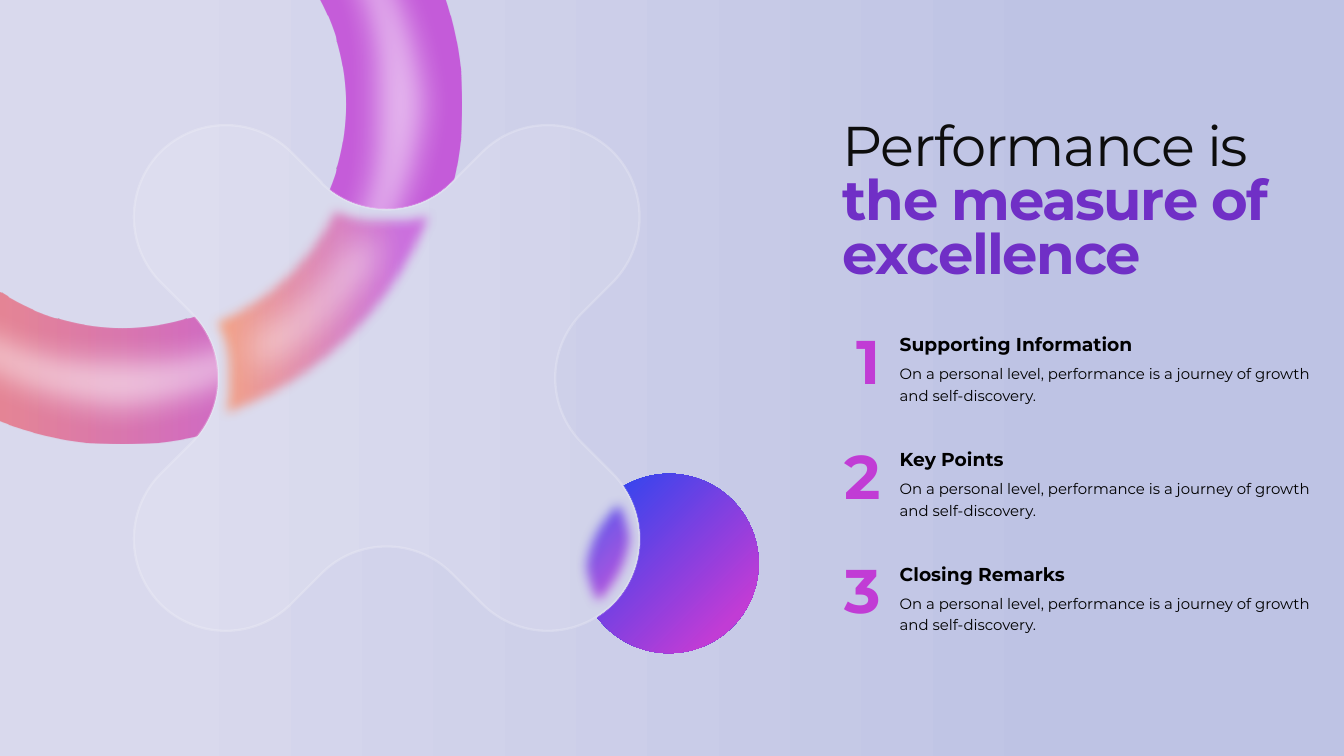
from lxml import etree
from pptx import Presentation
from pptx.dml.color import RGBColor
from pptx.enum.shapes import MSO_SHAPE
from pptx.enum.text import MSO_ANCHOR, MSO_AUTO_SIZE, PP_ALIGN
from pptx.oxml.ns import qn
from pptx.util import Inches, Pt

DONUT, OVAL = MSO_SHAPE.DONUT, MSO_SHAPE.OVAL
LEFT, RIGHT = PP_ALIGN.LEFT, PP_ALIGN.RIGHT
TOP = MSO_ANCHOR.TOP
GROW = MSO_AUTO_SIZE.SHAPE_TO_FIT_TEXT

FONT = "Montserrat"
BLACK = RGBColor(0x00, 0x00, 0x00)
INK = RGBColor(0x0D, 0x0D, 0x0D)
WHITE = RGBColor(0xFF, 0xFF, 0xFF)
MIST = RGBColor(0xD9, 0xD9, 0xED)
HAZE = RGBColor(0xCB, 0xCD, 0xE8)
PERIWINKLE = RGBColor(0xBE, 0xC3, 0xE4)
ORANGE = RGBColor(0xF9, 0x86, 0x57)
MAGENTA = RGBColor(0xC1, 0x3C, 0xD5)
PURPLE = RGBColor(0x70, 0x2F, 0xC6)
BLUE = RGBColor(0x1C, 0x46, 0xF2)

# Gradients: (position, colour) stops
BACKDROP = ((0.11, MIST), (0.8, PERIWINKLE))
GLASS = ((0.03, MIST), (1, HAZE))
SUNSET = ((0.11, ORANGE), (0.8, MAGENTA))
ORB = ((0.17, MAGENTA), (1, BLUE))
EMPHASIS = ((0.11, PURPLE), (0.8, BLUE))
NUMERAL = ((0.11, MAGENTA), (0.8, BLUE))

TITLE = (("Performance is ", INK, False), ("the measure of excellence", EMPHASIS, True))
BODY = "On a personal level, performance is a journey of growth and self-discovery."
# Row top, heading width, heading
POINTS = (
    (4.91, 4.49, "Supporting Information"),
    (6.62, 2.92, "Key Points"),
    (8.32, 3.6, "Closing Remarks"),
)
HEADING_FONT = {"size": Pt(20), "bold": True}
BODY_FONT = {"size": Pt(16), "bold": False}
NUMERAL_FONT = {"size": Pt(66), "bold": True}

# Outlines: a pair is a line end, six numbers are a cubic curve
CLOVER_BOX = (1.99, 1.86, 7.53, 7.53)
CLOVER_CENTRE = (5.755, 5.625)
CLOVER_START = (4.78, 2.72)
CLOVER_QUARTER = (
    (5.32, 3.25, 6.19, 3.25, 6.72, 2.72), (7.18, 2.26),
    (7.72, 1.73, 8.58, 1.73, 9.12, 2.26),
    (9.65, 2.8, 9.65, 3.66, 9.12, 4.2), (8.66, 4.66),
)
LEAF_BOX = (8.55, 7.16, 0.99, 2.13)
LEAF = (
    (9.27, 7.16), (9.29, 7.19), (9.68, 7.77, 9.61, 8.56, 9.1, 9.08),
    (9.03, 9.15, 8.95, 9.21, 8.86, 9.27), (8.84, 9.28), (8.8, 9.24),
    (8.64, 9, 8.55, 8.72, 8.55, 8.42), (8.55, 7.91, 8.81, 7.47, 9.2, 7.2),
)
ARC_BOX = (2.88, 2.71, 3.85, 3.76)
ARC = (
    (6.73, 2.71), (6.71, 2.81), (6.25, 4.59, 4.85, 5.98, 3.08, 6.44),
    (2.96, 6.47), (3.02, 6.38), (3.35, 5.88, 3.32, 5.23, 2.94, 4.76),
    (2.88, 4.69), (3.11, 4.61), (3.9, 4.28, 4.54, 3.64, 4.88, 2.84),
    (4.89, 2.81), (5.43, 3.25, 6.22, 3.22, 6.72, 2.72),
)


def paint(fill, colour):
    """Fill with one colour, or with a left-to-right gradient of two stops."""
    if isinstance(colour, RGBColor):
        fill.solid()
        fill.fore_color.rgb = colour
        return
    fill.gradient()
    fill.gradient_angle = 0
    for stop, (position, rgb) in zip(fill.gradient_stops, colour):
        stop.position, stop.color.rgb = position, rgb


def finish(shape, colour, opacity=100, soft=0, radial=False):
    """Fill a shape without outline or shadow; soft is the blurred rim in points."""
    paint(shape.fill, colour)
    shape.line.fill.background()
    shape.shadow.inherit = False
    props = shape.element.spPr
    if opacity < 100:
        for tint in props.iter(qn("a:srgbClr")):
            etree.SubElement(tint, qn("a:alpha"), val=str(opacity * 1000))
    if radial:
        gradient = props.find(qn("a:gradFill"))
        circle = etree.Element(qn("a:path"), {"path": "circle"})
        etree.SubElement(circle, qn("a:fillToRect"), l="100000", t="100000")
        gradient.replace(gradient.find(qn("a:lin")), circle)
    if soft:
        effects = props.find(qn("a:effectLst"))
        etree.SubElement(effects, qn("a:softEdge"), rad=str(Pt(soft)))
    return shape


def add_preset(shapes, kind, left, top, size, adjust=None, **look):
    shape = shapes.add_shape(kind, Inches(left), Inches(top), Inches(size), Inches(size))
    if adjust:
        shape.adjustments[0] = adjust
    return finish(shape, **look)


def add_outline(shapes, bounds, outline, shift=0, **look):
    """Build a freeform of the given bounds, then give it its lines and curves."""
    left, top, width, height = (Inches(length) for length in bounds)
    right, bottom = left + width, top + height
    builder = shapes.build_freeform(left, top)
    builder.add_line_segments([(right, top), (right, bottom), (left, bottom)], close=True)
    shape = builder.convert_to_shape()
    shape.left = left + Inches(shift)

    track = shape.element.spPr.find(".//" + qn("a:path"))
    for step in list(track):
        track.remove(step)
    for index, segment in enumerate(outline):
        tag = "a:cubicBezTo" if len(segment) == 6 else "a:lnTo" if index else "a:moveTo"
        step = etree.SubElement(track, qn(tag))
        for x, y in zip(segment[::2], segment[1::2]):
            etree.SubElement(step, qn("a:pt"),
                             x=str(Inches(x) - left), y=str(Inches(y) - top))
    etree.SubElement(track, qn("a:close"))
    return finish(shape, **look)


def quarter_turn(segment):
    cx, cy = CLOVER_CENTRE
    turned = []
    for x, y in zip(segment[::2], segment[1::2]):
        turned += [cx + cy - y, cy + x - cx]
    return tuple(turned)


def clover():
    outline, quarter = [CLOVER_START], CLOVER_QUARTER
    for _ in range(4):
        outline += quarter
        quarter = [quarter_turn(segment) for segment in quarter]
    return outline


def add_span(para, text, colour, **format_values):
    span = para.add_run()
    span.text = text
    for name, value in {"name": FONT, **format_values}.items():
        setattr(span.font, name, value)
    paint(span.font.fill, colour)
    return span


def place(box, left, top, width, height, align=LEFT, spacing=1.0):
    """Position a box and return its first paragraph."""
    box.left, box.top = Inches(left), Inches(top)
    box.width, box.height = Inches(width), Inches(height)
    frame = box.text_frame
    frame.word_wrap, frame.auto_size, frame.vertical_anchor = True, GROW, TOP
    para = frame.paragraphs[0]
    para.alignment, para.line_spacing = align, spacing
    return para


def add_title(page):
    para = place(page.shapes.title, 12.44, 1.79, 6.73, 2.55, spacing=0.8)
    for text, colour, bold in TITLE:
        span = add_span(para, text, colour, size=Pt(60), bold=bold)
        span.font._element.set("spc", "-150")


def add_points(page):
    for number, (top, width, heading) in enumerate(POINTS, start=1):
        parts = (
            (heading, BLACK, HEADING_FONT, (13.29, top, width, 0.44)),
            (BODY, BLACK, BODY_FONT, (13.29, top + 0.42, 6.32, 0.75, LEFT, 1.2)),
            (str(number), NUMERAL, NUMERAL_FONT, (11.96, top - 0.16, 1.25, 1.21, RIGHT)),
        )
        for text, colour, font, position in parts:
            para = place(page.shapes.add_textbox(0, 0, 0, 0), *position)
            add_span(para, text, colour, **font)


def add_artwork(page):
    ring = page.shapes.add_group_shape().shapes
    add_preset(ring, DONUT, -3.23, -3.5, 10.1, 0.171, colour=SUNSET, opacity=78)
    add_preset(ring, DONUT, -3.15, -3.41, 9.92, 0.16, colour=WHITE, opacity=56, soft=33)
    add_preset(page.shapes, OVAL, 8.62, 7.05, 2.67, colour=ORB, radial=True)

    glass = page.shapes.add_group_shape().shapes
    add_outline(glass, CLOVER_BOX, clover(), colour=GLASS)
    add_outline(glass, LEAF_BOX, LEAF, colour=ORB, radial=True, soft=12.5)
    add_outline(glass, ARC_BOX, ARC, colour=SUNSET, opacity=78, soft=12.5)
    add_outline(glass, ARC_BOX, ARC, shift=0.03, colour=WHITE, opacity=73, soft=38)
    rim = add_outline(glass, CLOVER_BOX, clover(), colour=WHITE, opacity=12)
    paint(rim.line.fill, WHITE)
    rim.line.width = Pt(2.5)
    tint = rim.element.spPr.find(qn("a:ln")).find(".//" + qn("a:srgbClr"))
    etree.SubElement(tint, qn("a:alpha"), val="20000")


def main():
    deck = Presentation()
    deck.slide_width, deck.slide_height = Inches(20), Inches(11.25)
    page = deck.slides.add_slide(deck.slide_layouts[5])
    paint(page.background.fill, BACKDROP)
    add_artwork(page)
    add_title(page)
    add_points(page)
    deck.save("out.pptx")


if __name__ == "__main__":
    main()
